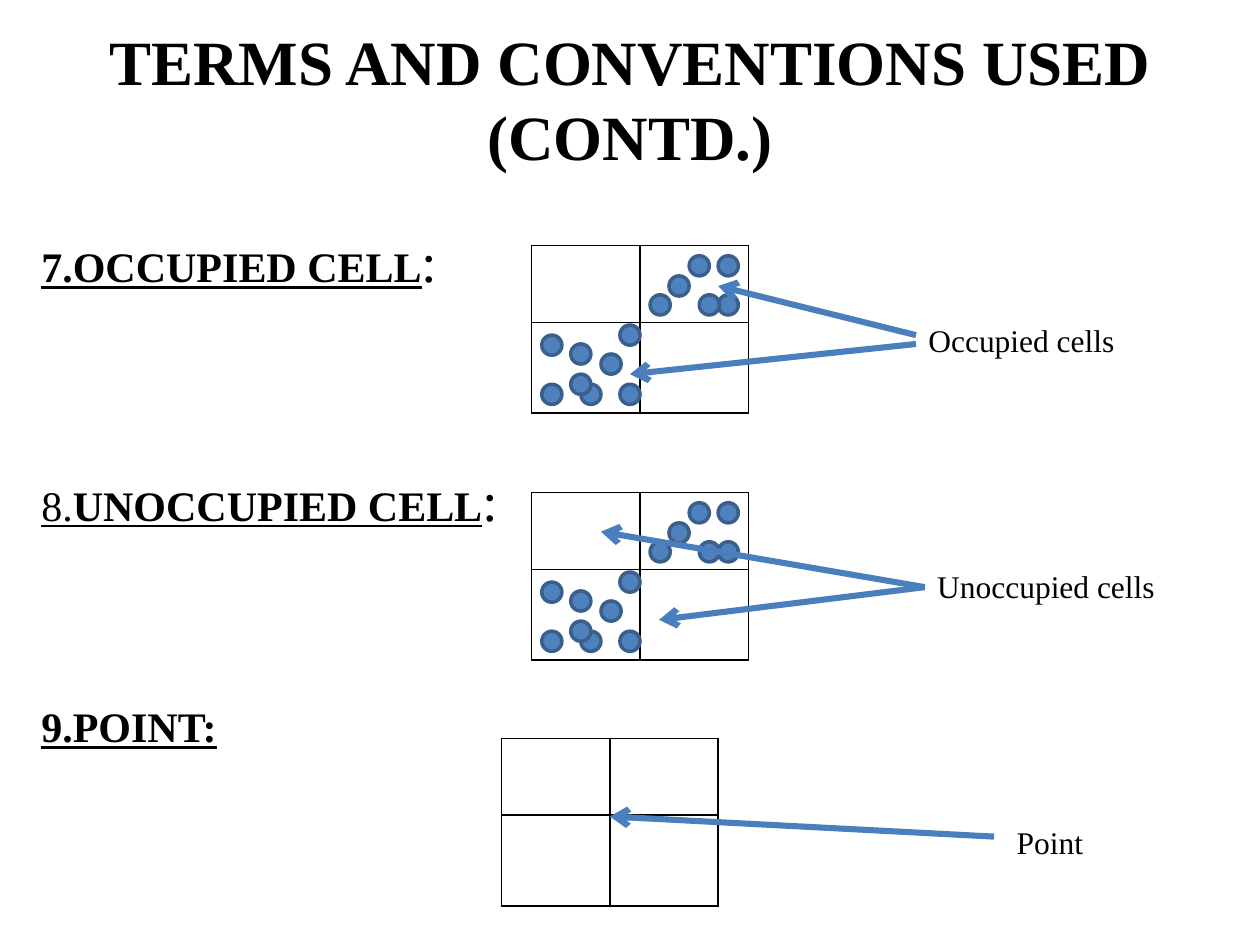
from typing import NamedTuple

from lxml import etree
from pptx import Presentation
from pptx.dml.color import RGBColor
from pptx.enum.shapes import MSO_CONNECTOR, MSO_SHAPE
from pptx.enum.text import MSO_ANCHOR, MSO_AUTO_SIZE, PP_ALIGN
from pptx.oxml.ns import qn
from pptx.util import Inches, Pt

DOT = MSO_SHAPE.FLOWCHART_CONNECTOR
STRAIGHT = MSO_CONNECTOR.STRAIGHT
FONT = "Times New Roman"
COLORS = {"text": "000000", "border": "000000", "dot": "4F81BD",
          "dot_line": "3A5F8C", "arrow": "4B7EBC"}
COL_WIDTH = 0.86
ROW_HEIGHTS = (0.61, 0.72)
DOT_SIZE = 0.16
# Dot positions measured from the top left corner of a grid
DOTS = ((1.09, 0.24), (0.94, 0.39), (1.48, 0.39), (1.25, 0.08), (1.48, 0.08),
        (0.7, 1.1), (0.39, 1.1), (0.31, 1.02), (0.55, 0.86), (0.08, 1.1),
        (0.08, 0.71), (0.31, 0.78), (0.7, 0.63), (1.33, 0.39))


class Run(NamedTuple):
    text: str
    size: float = 24
    bold: bool = False
    underline: bool = False


class Heading(NamedTuple):
    space_before: float
    runs: tuple[Run, ...]


class Arrow(NamedTuple):
    start: tuple[float, float]
    end: tuple[float, float]


class Diagram(NamedTuple):
    left: float
    top: float
    dots: tuple[tuple[float, float], ...]
    arrows: tuple[Arrow, ...]
    label: str
    label_box: tuple[float, float, float, float]


HEADINGS = (
    Heading(5, (Run("7.OCCUPIED CELL", 24, True, True), Run(":", 32))),
    Heading(98, (Run("8.", 24, False, True),
                 Run("UNOCCUPIED CELL", 24, True, True), Run(":", 32))),
    Heading(96, (Run("9.POINT:", 24, True, True),)),
)
DIAGRAMS = (
    Diagram(4.22, 1.95, DOTS,
            (Arrow((7.27, 2.73), (5, 2.97)), Arrow((7.27, 2.66), (5.7, 2.27))),
            "Occupied cells", (7.27, 2.5, 2.34, 0.4)),
    Diagram(4.22, 3.91, DOTS,
            (Arrow((7.34, 4.66), (5.23, 4.92)), Arrow((7.34, 4.66), (4.77, 4.22))),
            "Unoccupied cells", (7.34, 4.45, 2.34, 0.4)),
    Diagram(3.98, 5.86, (), (Arrow((7.89, 6.64), (4.84, 6.48)),),
            "Point", (7.97, 6.48, 0.94, 0.4)),
)


def color(name: str) -> RGBColor:
    """Look up a named colour."""
    return RGBColor.from_string(COLORS[name])


def add_run(p, run: Run) -> None:
    """Append a formatted run to a paragraph."""
    r = p.add_run()
    r.text = run.text
    r.font.name = FONT
    r.font.size = Pt(run.size)
    r.font.bold = run.bold
    r.font.underline = run.underline
    r.font.color.rgb = color("text")


def add_title(slide, lines: tuple[str, ...]) -> None:
    """Place the title and fill it line by line."""
    sp = slide.shapes.title
    sp.left, sp.top, sp.width, sp.height = map(Inches, (0.5, 0, 9, 1.55))
    tf = sp.text_frame
    tf.vertical_anchor = MSO_ANCHOR.MIDDLE
    p = tf.paragraphs[0]
    p.alignment = PP_ALIGN.CENTER
    for i, line in enumerate(lines):
        if i:
            p.add_line_break()
        add_run(p, Run(line, 36, True))


def add_headings(slide, headings: tuple[Heading, ...]) -> None:
    """Write the numbered headings into one text box."""
    sp = slide.shapes.add_textbox(*map(Inches, (0.23, 1.75, 9.27, 4.95)))
    tf = sp.text_frame
    tf.word_wrap = True
    for i, heading in enumerate(headings):
        p = tf.add_paragraph() if i else tf.paragraphs[0]
        p.space_before = Pt(heading.space_before)
        for run in heading.runs:
            add_run(p, run)


def add_borders(cell) -> None:
    """Draw a thin line on all four sides of a cell."""
    tc_pr = cell._tc.get_or_add_tcPr()
    for i, side in enumerate(("lnL", "lnR", "lnT", "lnB")):
        ln = etree.Element(qn(f"a:{side}"), w=str(Pt(1)))
        fill = etree.SubElement(ln, qn("a:solidFill"))
        etree.SubElement(fill, qn("a:srgbClr"), val=COLORS["border"])
        tc_pr.insert(i, ln)


def add_grid(slide, left: float, top: float) -> None:
    """Add an empty table of two by two cells."""
    frame = slide.shapes.add_table(
        2, 2, Inches(left), Inches(top),
        Inches(2 * COL_WIDTH), Inches(sum(ROW_HEIGHTS)))
    table = frame.table
    table.first_row = table.horz_banding = False
    for col in table.columns:
        col.width = Inches(COL_WIDTH)
    for row, height in zip(table.rows, ROW_HEIGHTS):
        row.height = Inches(height)
    for cell in table.iter_cells():
        cell.fill.background()
        add_borders(cell)


def add_dot(slide, left: float, top: float) -> None:
    """Add one data point."""
    sp = slide.shapes.add_shape(
        DOT, *map(Inches, (left, top, DOT_SIZE, DOT_SIZE)))
    sp.shadow.inherit = False
    sp.fill.solid()
    sp.fill.fore_color.rgb = color("dot")
    sp.line.color.rgb = color("dot_line")
    sp.line.width = Pt(2)


def add_arrow(slide, arrow: Arrow) -> None:
    """Add a line with an open arrowhead at its end."""
    cxn = slide.shapes.add_connector(
        STRAIGHT, *map(Inches, arrow.start + arrow.end))
    cxn.line.color.rgb = color("arrow")
    cxn.line.width = Pt(3.5)
    etree.SubElement(cxn.line._get_or_add_ln(), qn("a:tailEnd"), type="arrow")
    etree.SubElement(cxn._element.spPr, qn("a:effectLst"))


def add_label(slide, text: str, box: tuple[float, float, float, float]) -> None:
    """Add the caption beside the arrows."""
    tf = slide.shapes.add_textbox(*map(Inches, box)).text_frame
    tf.word_wrap = True
    tf.auto_size = MSO_AUTO_SIZE.SHAPE_TO_FIT_TEXT
    add_run(tf.paragraphs[0], Run(text, 18))


def add_diagram(slide, diagram: Diagram) -> None:
    """Draw a grid with its dots, arrows and label."""
    add_grid(slide, diagram.left, diagram.top)
    for x, y in diagram.dots:
        add_dot(slide, diagram.left + x, diagram.top + y)
    for arrow in diagram.arrows:
        add_arrow(slide, arrow)
    add_label(slide, diagram.label, diagram.label_box)


def main() -> None:
    """Build and save the slide."""
    prs = Presentation()
    prs.slide_width, prs.slide_height = Inches(10), Inches(7.5)
    slide = prs.slides.add_slide(prs.slide_layouts[5])
    add_title(slide, ("TERMS AND CONVENTIONS USED", "(CONTD.)"))
    add_headings(slide, HEADINGS)
    for diagram in DIAGRAMS:
        add_diagram(slide, diagram)
    prs.save("out.pptx")


main()
